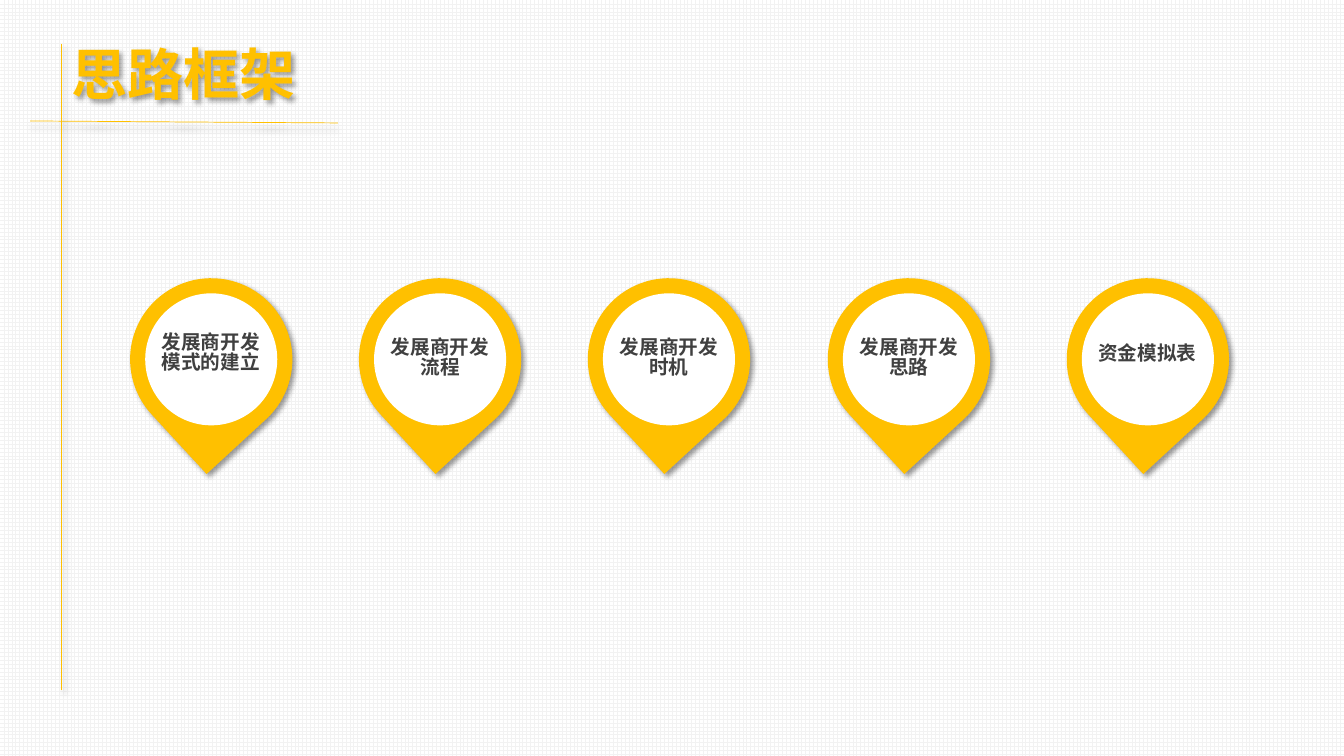
from dataclasses import dataclass

from lxml.etree import SubElement
from pptx import Presentation
from pptx.dml.color import RGBColor
from pptx.enum.dml import MSO_PATTERN
from pptx.enum.shapes import MSO_CONNECTOR, MSO_SHAPE
from pptx.enum.text import MSO_AUTO_SIZE, PP_ALIGN
from pptx.oxml.ns import qn
from pptx.util import Inches, Pt

FONT = "Noto Sans CJK SC"
GOLD = "FFC000"
GREY = "404040"
WHITE = "FFFFFF"
PIN_TOP, PIN_SIZE, DISC_SIZE = 2.76, 1.61, 1.31
RIM = (PIN_SIZE - DISC_SIZE) / 2
LABEL_W = 1.18


@dataclass
class Pin:
    left: float
    lines: list[str]
    label_top: float
    label_h: float = 0.57
    align: PP_ALIGN | None = PP_ALIGN.CENTER


@dataclass
class Rule:
    start: tuple[float, float]
    end: tuple[float, float]
    distance: float
    angle: int


PINS = [
    Pin(1.29, ["发展商开发", "模式的建立"], 3.26, align=None),
    Pin(3.56, ["发展商开发", "流程"], 3.31),
    Pin(5.83, ["发展商开发", "时机"], 3.31),
    Pin(8.21, ["发展商开发", "思路"], 3.31),
    Pin(10.58, ["资金模拟表"], 3.37, 0.34, None),
]
RULES = [
    Rule((0.3, 1.2), (3.35, 1.22), 5, 90),
    Rule((0.61, 6.85), (0.61, 0.44), 3, 45),
]


def rgb(color: str) -> RGBColor:
    return RGBColor.from_string(color)


def add_shadow(sp, distance: float = 3, angle: int = 45) -> None:
    effects = SubElement(sp.element.spPr, qn("a:effectLst"))
    outer = SubElement(effects, qn("a:outerShdw"), blurRad=str(Pt(4)), dist=str(Pt(distance)),
                       dir=str(angle * 60000), algn="tl", rotWithShape="0")
    color = SubElement(outer, qn("a:srgbClr"), val="000000")
    SubElement(color, qn("a:alpha"), val="40000")


def add_text(s, lines: list[str], left: float, top: float, width: float, height: float, *,
             size: float, color: str, align: PP_ALIGN | None = None):
    sp = s.shapes.add_textbox(Inches(left), Inches(top), Inches(width), Inches(height))
    tf = sp.text_frame
    tf.word_wrap = False
    tf.auto_size = MSO_AUTO_SIZE.SHAPE_TO_FIT_TEXT
    for i, line in enumerate(lines):
        p = tf.add_paragraph() if i else tf.paragraphs[0]
        p.line_spacing = 0.86
        if align is not None:
            p.alignment = align
        r = p.add_run()
        r.text = line
        r.font.size = Pt(size)
        r.font.bold = True
        r.font.color.rgb = rgb(color)
        r.font.name = FONT
        SubElement(r.font._element, qn("a:ea"), typeface=FONT)
    return sp


def add_solid(s, kind: MSO_SHAPE, left: float, top: float, size: float, color: str):
    sp = s.shapes.add_shape(kind, Inches(left), Inches(top), Inches(size), Inches(size))
    sp.fill.solid()
    sp.fill.fore_color.rgb = rgb(color)
    sp.line.fill.background()
    return sp


def add_rule(s, rule: Rule) -> None:
    line = s.shapes.add_connector(MSO_CONNECTOR.STRAIGHT,
                                  *map(Inches, rule.start + rule.end))
    line.line.color.rgb = rgb(GOLD)
    line.line.width = Pt(0.5)
    add_shadow(line, rule.distance, rule.angle)


def add_pin(s, pin: Pin) -> None:
    drop = add_solid(s, MSO_SHAPE.TEAR, pin.left, PIN_TOP, PIN_SIZE, GOLD)
    drop.rotation = 137.3
    add_shadow(drop)
    disc = add_solid(s, MSO_SHAPE.OVAL, pin.left + RIM, PIN_TOP + RIM, DISC_SIZE, WHITE)
    disc.shadow.inherit = False
    add_text(s, pin.lines, pin.left + (PIN_SIZE - LABEL_W) / 2, pin.label_top,
             LABEL_W, pin.label_h, size=14, color=GREY, align=pin.align)


def main() -> None:
    prs = Presentation()
    prs.slide_width, prs.slide_height = Inches(13.33), Inches(7.5)
    s = prs.slides.add_slide(prs.slide_layouts[6])
    fill = s.background.fill
    fill.patterned()
    fill.pattern = MSO_PATTERN.LARGE_GRID
    fill.fore_color.rgb = rgb("F2F2F2")
    fill.back_color.rgb = rgb(WHITE)

    title = add_text(s, ["思路框架"], 0.61, 0.44, 2.44, 0.77, size=40, color=GOLD)
    add_shadow(title)
    for rule in RULES:
        add_rule(s, rule)
    for pin in PINS:
        add_pin(s, pin)
    prs.save("out.pptx")


if __name__ == "__main__":
    main()
